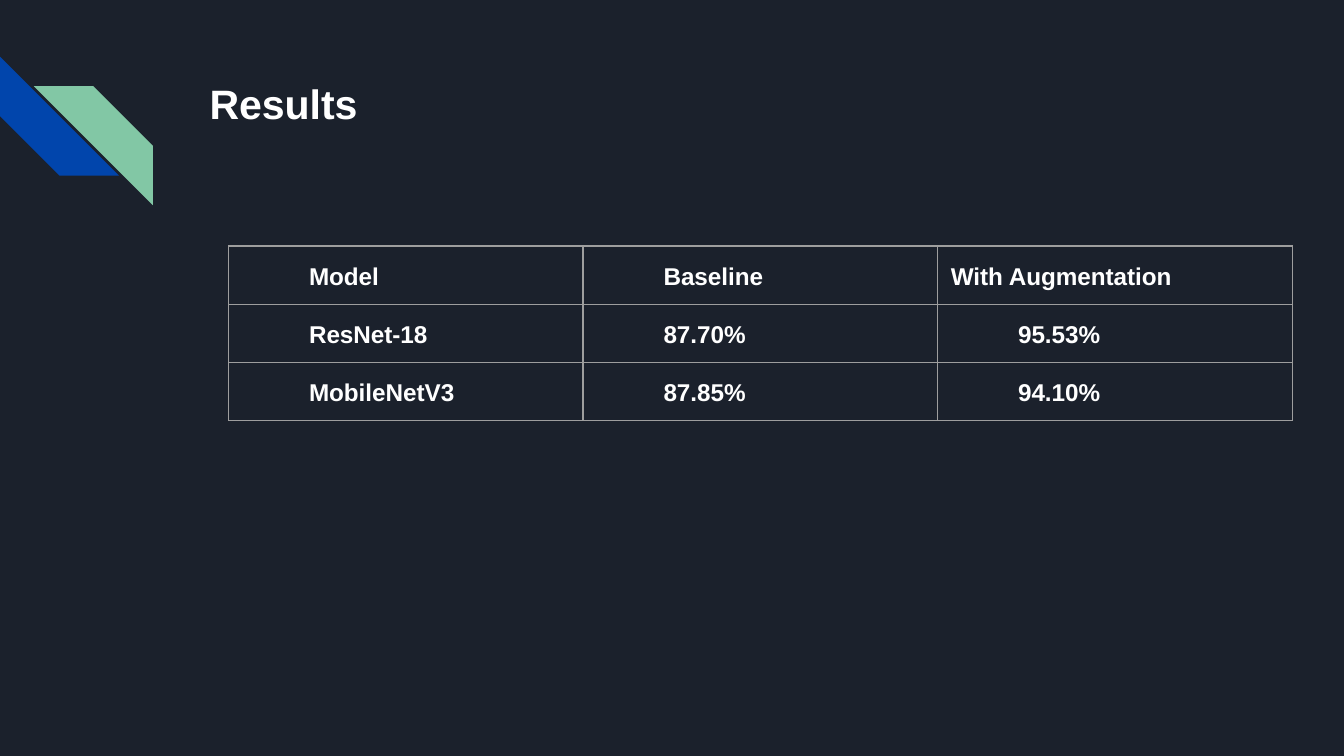
"""Build the results slide with its comparison table."""
from lxml import etree
from pptx import Presentation
from pptx.dml.color import RGBColor
from pptx.enum import shapes, text
from pptx.oxml import ns
from pptx.util import Cm, Pt

NIGHT = RGBColor(0x1B, 0x21, 0x2C)
BLUE = RGBColor(0x01, 0x45, 0xAC)
GREEN = RGBColor(0x82, 0xC7, 0xA5)
WHITE = RGBColor(0xFF, 0xFF, 0xFF)
GREY = RGBColor(0x9E, 0x9E, 0x9E)

ROWS = [
    ("Model", "Baseline", "With Augmentation"),
    ("ResNet-18", "87.70%", "95.53%"),
    ("MobileNetV3", "87.85%", "94.10%"),
]
FLUSH = "With Augmentation"


def write(frame, words, size, indent=0, color=WHITE, font="Arial"):
    frame.word_wrap = True
    para = frame.paragraphs[0]
    para.alignment = text.PP_ALIGN.LEFT
    para.line_spacing = 1.15
    para.space_before = Pt(0)
    if indent:
        props = para._p.get_or_add_pPr()
        props.set("marL", str(Cm(indent)))
        props.set("indent", "0")
    run = para.add_run()
    run.text = words
    run.font.name = font
    run.font.size = Pt(size)
    run.font.bold = True
    run.font.color.rgb = color


class Deck:
    def __init__(self):
        self.show = Presentation()
        self.show.slide_width = Cm(25.4)
        self.show.slide_height = Cm(14.29)
        self.slide = self.show.slides.add_slide(self.show.slide_layouts[5])
        self.pad = Cm(0.25)
        fill = self.slide.background.fill
        fill.solid()
        fill.fore_color.rgb = NIGHT

    def stripe(self, left, top, size, color):
        shape = self.slide.shapes.add_shape(
            shapes.MSO_SHAPE.DIAGONAL_STRIPE, Cm(left), Cm(top), Cm(size), Cm(size))
        shape.shadow.inherit = False
        shape.fill.solid()
        shape.fill.fore_color.rgb = color
        shape.line.fill.background()
        return shape

    def title(self, words, left, top, width, height):
        box = self.slide.shapes.title
        box.left, box.top = Cm(left), Cm(top)
        box.width, box.height = Cm(width), Cm(height)
        frame = box.text_frame
        frame.auto_size = text.MSO_AUTO_SIZE.NONE
        frame.vertical_anchor = text.MSO_ANCHOR.TOP
        frame.margin_left = frame.margin_right = self.pad
        frame.margin_top = frame.margin_bottom = self.pad
        write(frame, words, 22)

    def border(self, cell):
        props = cell._tc.get_or_add_tcPr()
        for at, side in enumerate(("lnL", "lnR", "lnT", "lnB")):
            line = etree.Element(ns.qn(f"a:{side}"), w=str(Pt(0.75)))
            fill = etree.SubElement(line, ns.qn("a:solidFill"))
            etree.SubElement(fill, ns.qn("a:srgbClr"), val=str(GREY))
            props.insert(at, line)

    def table(self, rows, left, top, width, height):
        count = len(rows[0])
        grid = self.slide.shapes.add_table(
            len(rows), count, Cm(left), Cm(top),
            Cm(width * count), Cm(height * len(rows))).table
        grid.first_row = grid.horz_banding = False
        for r, row in enumerate(rows):
            for c, words in enumerate(row):
                cell = grid.cell(r, c)
                cell.fill.background()
                cell.margin_left = cell.margin_right = self.pad
                cell.margin_top = cell.margin_bottom = self.pad
                self.border(cell)
                write(cell.text_frame, words, 13, indent=0 if words == FLUSH else 1.27)


def main():
    deck = Deck()
    blue = deck.stripe(0, 1.07, 2.25, BLUE)
    blue.rotation = 270
    green = deck.stripe(0.64, 1.63, 2.25, GREEN)
    green._element.spPr.get_or_add_xfrm().set("flipH", "1")
    deck.title("Results", 3.71, 1.09, 21.36, 1.93)
    deck.table(ROWS, 4.32, 4.65, 6.7, 1.1)
    deck.show.save("out.pptx")


if __name__ == "__main__":
    main()
